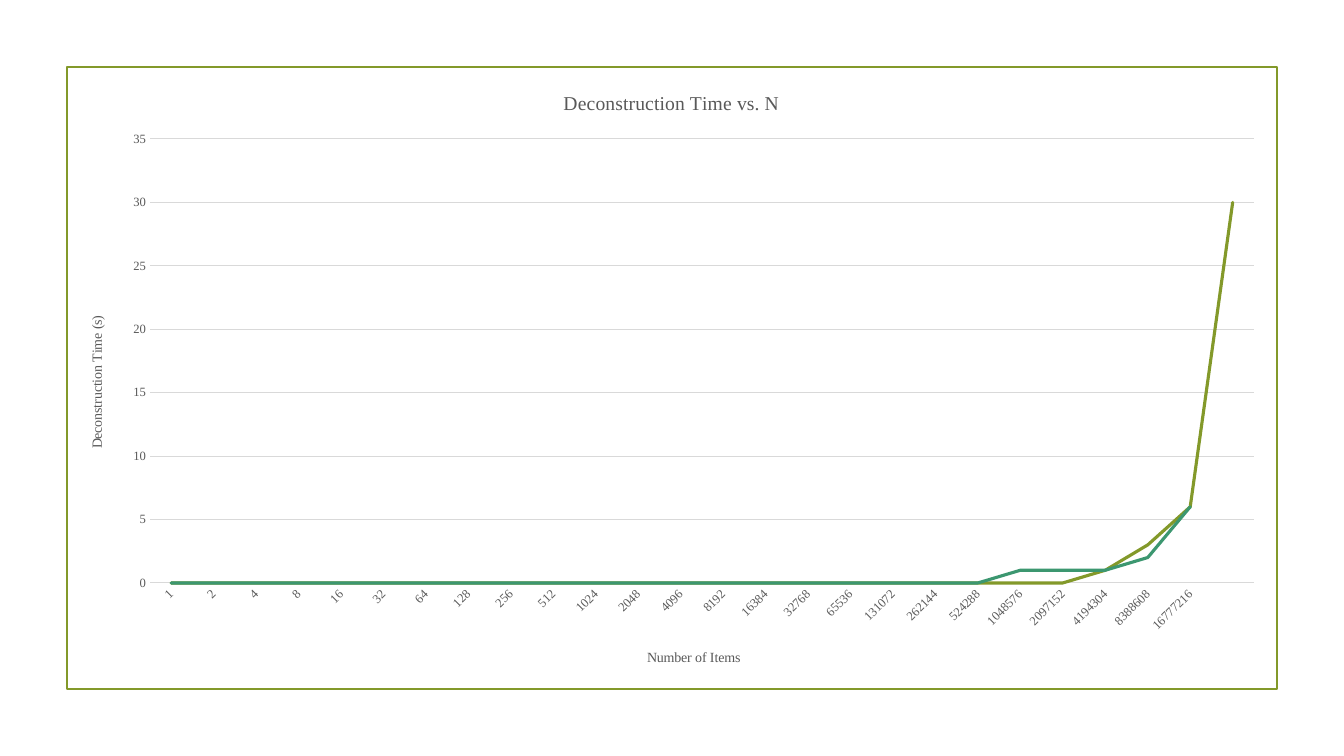
from lxml.etree import SubElement
from pptx import Presentation
from pptx.chart.data import CategoryChartData
from pptx.dml.color import RGBColor
from pptx.enum.chart import XL_CHART_TYPE, XL_MARKER_STYLE, XL_TICK_MARK
from pptx.enum.shapes import MSO_SHAPE
from pptx.oxml import parse_xml
from pptx.oxml.ns import nsdecls, qn
from pptx.util import Pt

EMU_PER_PX = 914400 / 100.8
FONT = "Times New Roman"
OLIVE, GREEN, GREY, PALE = "83992A", "3C9770", "595959", "D9D9D9"
CHART_BOX = (65, 69, 1213, 619)
PLOT_BOX = (150, 139, 1104, 444)

ITEM_COUNTS = [str(2 ** power) for power in range(25)] + [""]
TIMES = {
    "Series 1": [0] * 22 + [1, 3, 6, 30],
    "Series 2": [0] * 20 + [1, 1, 1, 2, 6, None],
}


def px(length):
    return round(length * EMU_PER_PX)


def color(value):
    return RGBColor.from_string(value)


def style_font(font, size):
    font.name = FONT
    font.size = Pt(size)
    font.bold = False
    font.color.rgb = color(GREY)


def style_line(line, value, width):
    line.color.rgb = color(value)
    line.width = Pt(width)


def set_title(title, text, size):
    title.text_frame.text = text
    style_font(title.text_frame.paragraphs[0].font, size)


def style_axis(axis, title):
    axis.major_tick_mark = axis.minor_tick_mark = XL_TICK_MARK.NONE
    style_font(axis.tick_labels.font, 9)
    set_title(axis.axis_title, title, 10)


def place_plot(chart):
    plot_area = chart.plots[0]._element.getparent()
    for old_layout in plot_area.findall(qn("c:layout")):
        plot_area.remove(old_layout)
    layout = parse_xml(f"<c:layout {nsdecls('c')}/>")
    manual = SubElement(layout, qn("c:manualLayout"))
    left, top, width, height = CHART_BOX
    plot_left, plot_top, plot_width, plot_height = PLOT_BOX
    settings = {
        "layoutTarget": "inner", "xMode": "edge", "yMode": "edge",
        "x": (plot_left - left) / width, "y": (plot_top - top) / height,
        "w": plot_width / width, "h": plot_height / height,
    }
    for tag, value in settings.items():
        SubElement(manual, qn(f"c:{tag}")).set("val", str(value))
    plot_area.insert(0, layout)


def add_frame(slide, *box):
    frame = slide.shapes.add_shape(MSO_SHAPE.RECTANGLE, *map(px, box))
    frame.shadow.inherit = False
    frame.fill.background()
    style_line(frame.line, OLIVE, 1.25)


def add_time_chart(slide):
    data = CategoryChartData()
    data.categories = ITEM_COUNTS
    for name, times in TIMES.items():
        data.add_series(name, times)
    chart = slide.shapes.add_chart(XL_CHART_TYPE.LINE, *map(px, CHART_BOX), data).chart
    chart.has_legend = False
    chart.font.name = FONT
    chart.font.size = Pt(10)
    set_title(chart.chart_title, "Deconstruction Time vs. N", 14)
    chart.plots[0].vary_by_categories = False
    for series, line_color in zip(chart.plots[0].series, (OLIVE, GREEN)):
        series.smooth = False
        series.marker.style = XL_MARKER_STYLE.NONE
        style_line(series.format.line, line_color, 2.25)
        series.format.line._ln.set("cap", "rnd")

    items, seconds = chart.category_axis, chart.value_axis
    style_axis(items, "Number of Items")
    style_axis(seconds, "Deconstruction Time (s)")
    items._element.find(qn("c:txPr")).find(qn("a:bodyPr")).set("rot", "-2700000")
    style_line(items.format.line, PALE, 0.75)
    seconds.format.line.fill.background()
    seconds.minimum_scale, seconds.maximum_scale, seconds.major_unit = 0, 35, 5
    seconds.tick_labels.number_format = "General"
    seconds.tick_labels.number_format_is_linked = False
    style_line(seconds.major_gridlines.format.line, PALE, 0.75)
    place_plot(chart)


def main():
    deck = Presentation()
    deck.slide_width, deck.slide_height = px(1344), px(756)
    slide = deck.slides.add_slide(deck.slide_layouts[6])
    add_frame(slide, 67, 67, 1210, 622)
    add_time_chart(slide)
    deck.save("out.pptx")


if __name__ == "__main__":
    main()
